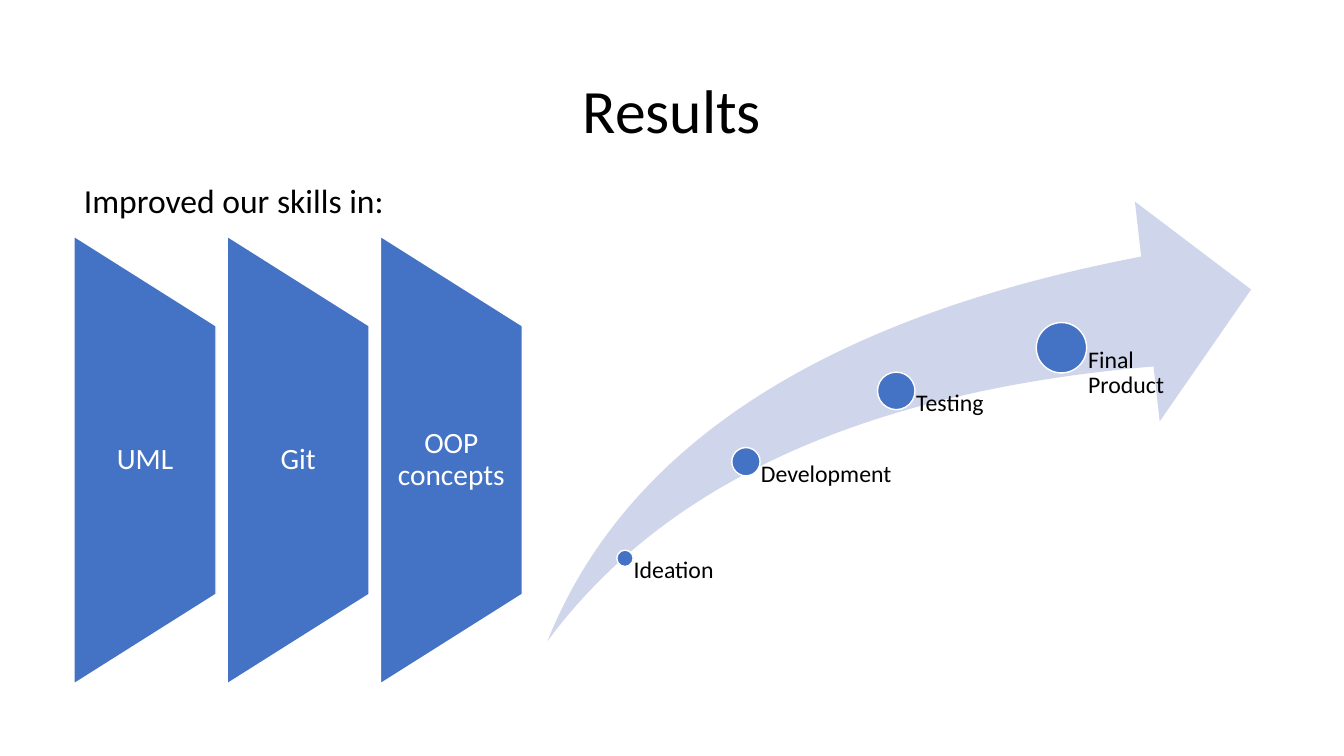
"""Build the Results slide: skills gained and the project's path to a final product."""
from pptx import Presentation
from pptx.dml import color
from pptx.enum import shapes, text
from pptx.util import Pt

BLACK = color.RGBColor(0x00, 0x00, 0x00)
WHITE = color.RGBColor(0xFF, 0xFF, 0xFF)
BLUE = color.RGBColor(0x44, 0x72, 0xC4)
PALE_BLUE = color.RGBColor(0xCF, 0xD5, 0xEA)
CENTER = text.PP_ALIGN.CENTER
LEFT = text.PP_ALIGN.LEFT


def write(box, words, size, ink, align=LEFT, spacing=0.9, anchor=text.MSO_ANCHOR.TOP):
    frame = box.text_frame
    frame.text = words
    frame.word_wrap = True
    frame.vertical_anchor = anchor
    para = frame.paragraphs[0]
    para.alignment = align
    para.line_spacing = spacing
    span = para.runs[0]
    span.font.name = "Calibri"
    span.font.size = Pt(size)
    span.font.color.rgb = ink


def add_filled(kind, left, top, width, height, fill):
    shape = page.shapes.add_shape(kind, Pt(left), Pt(top), Pt(width), Pt(height))
    shape.shadow.inherit = False
    shape.fill.solid()
    shape.fill.fore_color.rgb = fill
    shape.line.color.rgb = WHITE
    shape.line.width = Pt(1)
    return shape


deck = Presentation()
deck.slide_width = Pt(960)
deck.slide_height = Pt(540)
page = deck.slides.add_slide(deck.slide_layouts[5])

title = page.shapes.title
title.left, title.top, title.width, title.height = Pt(66), Pt(28.8), Pt(828), Pt(104.4)
write(title, "Results", 44, BLACK, CENTER, anchor=text.MSO_ANCHOR.MIDDLE)

arrow = add_filled(shapes.MSO_SHAPE.SWOOSH_ARROW, 391, 144, 502.6, 314, PALE_BLUE)
arrow.adjustments[0] = 0.25
arrow.adjustments[1] = 0.25
arrow.line.fill.background()

STAGES = [
    ("Ideation", 446.4, 398.8, 11.7, 85.7),
    ("Development", 532.8, 329.8, 20.2, 105.8),
    ("Testing", 640.2, 279.2, 26.8, 105.8),
    ("Final Product", 758.2, 248.4, 36, 105.8),
]
LABEL_BOTTOM = 473.8
for stage, center_x, center_y, diameter, label_width in STAGES:
    add_filled(shapes.MSO_SHAPE.OVAL, center_x - diameter / 2, center_y - diameter / 2,
               diameter, diameter, BLUE)
    label = page.shapes.add_textbox(Pt(center_x), Pt(center_y), Pt(label_width),
                                    Pt(LABEL_BOTTOM - center_y))
    write(label, stage, 17, BLACK)
    frame = label.text_frame
    frame.margin_left = Pt(diameter * 0.53)
    frame.margin_top = frame.margin_right = frame.margin_bottom = 0

PANEL_LEFT, PANEL_MIDDLE, PANEL_STEP = 52.9, 328.6, 109.4
PANEL_WIDTH, PANEL_HEIGHT, LABEL_HEIGHT = 101.4, 319.8, 192
for index, skill in enumerate(["UML", "Git", "OOP concepts"]):
    left = PANEL_LEFT + index * PANEL_STEP
    panel = add_filled(shapes.MSO_SHAPE.FLOWCHART_MANUAL_OPERATION,
                       left + (PANEL_WIDTH - PANEL_HEIGHT) / 2,
                       PANEL_MIDDLE - PANEL_WIDTH / 2, PANEL_HEIGHT, PANEL_WIDTH, BLUE)
    panel.rotation = 270
    label = page.shapes.add_textbox(Pt(left), Pt(PANEL_MIDDLE - LABEL_HEIGHT / 2),
                                    Pt(PANEL_WIDTH), Pt(LABEL_HEIGHT))
    write(label, skill, 21, WHITE, CENTER, anchor=text.MSO_ANCHOR.MIDDLE)
    frame = label.text_frame
    frame.margin_left = frame.margin_right = Pt(10.6)
    frame.margin_top = frame.margin_bottom = 0

heading = page.shapes.add_textbox(Pt(52.9), Pt(125.3), Pt(269.3), Pt(36))
write(heading, "Improved our skills in:", 24, BLACK, spacing=1.0)

deck.save("out.pptx")
